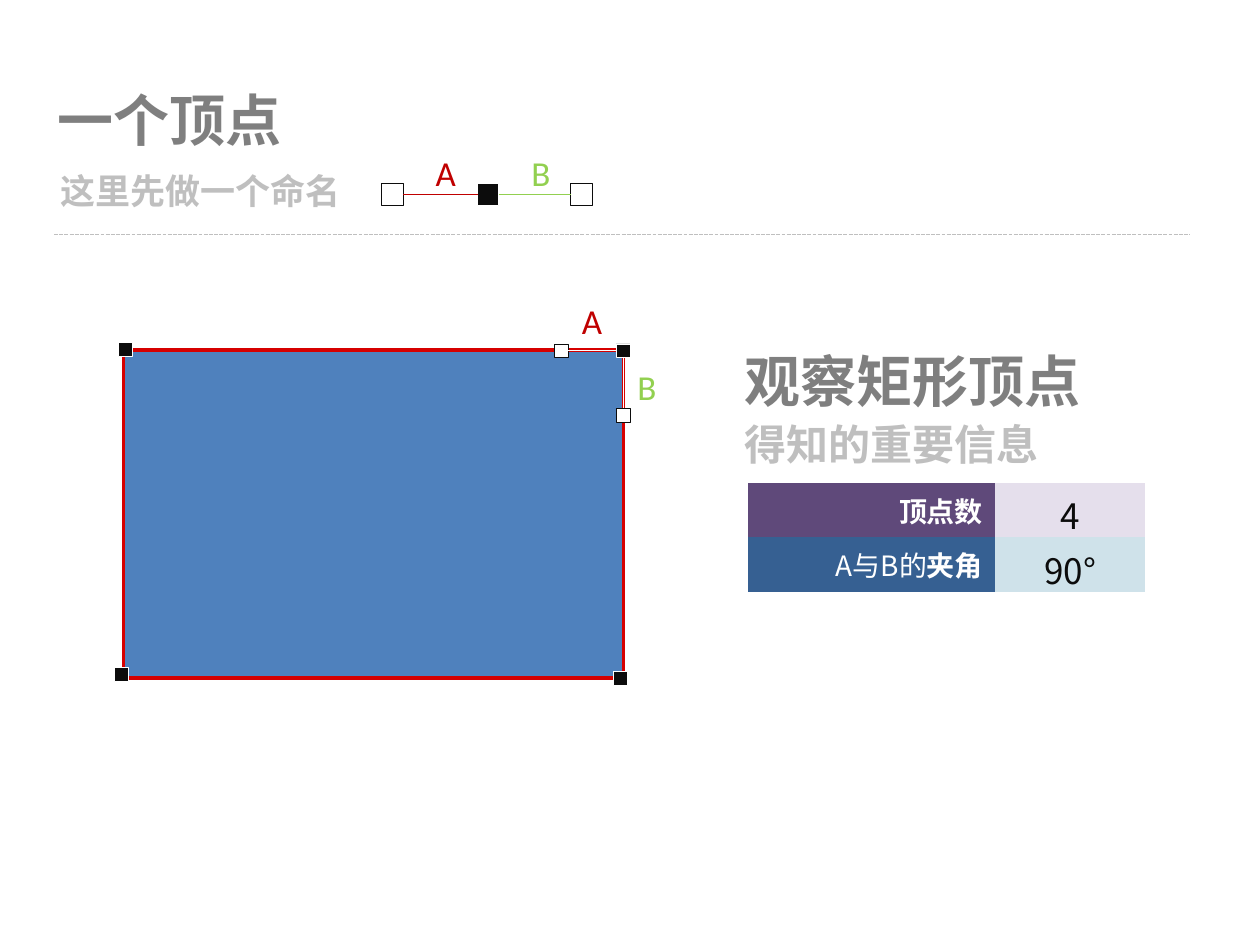
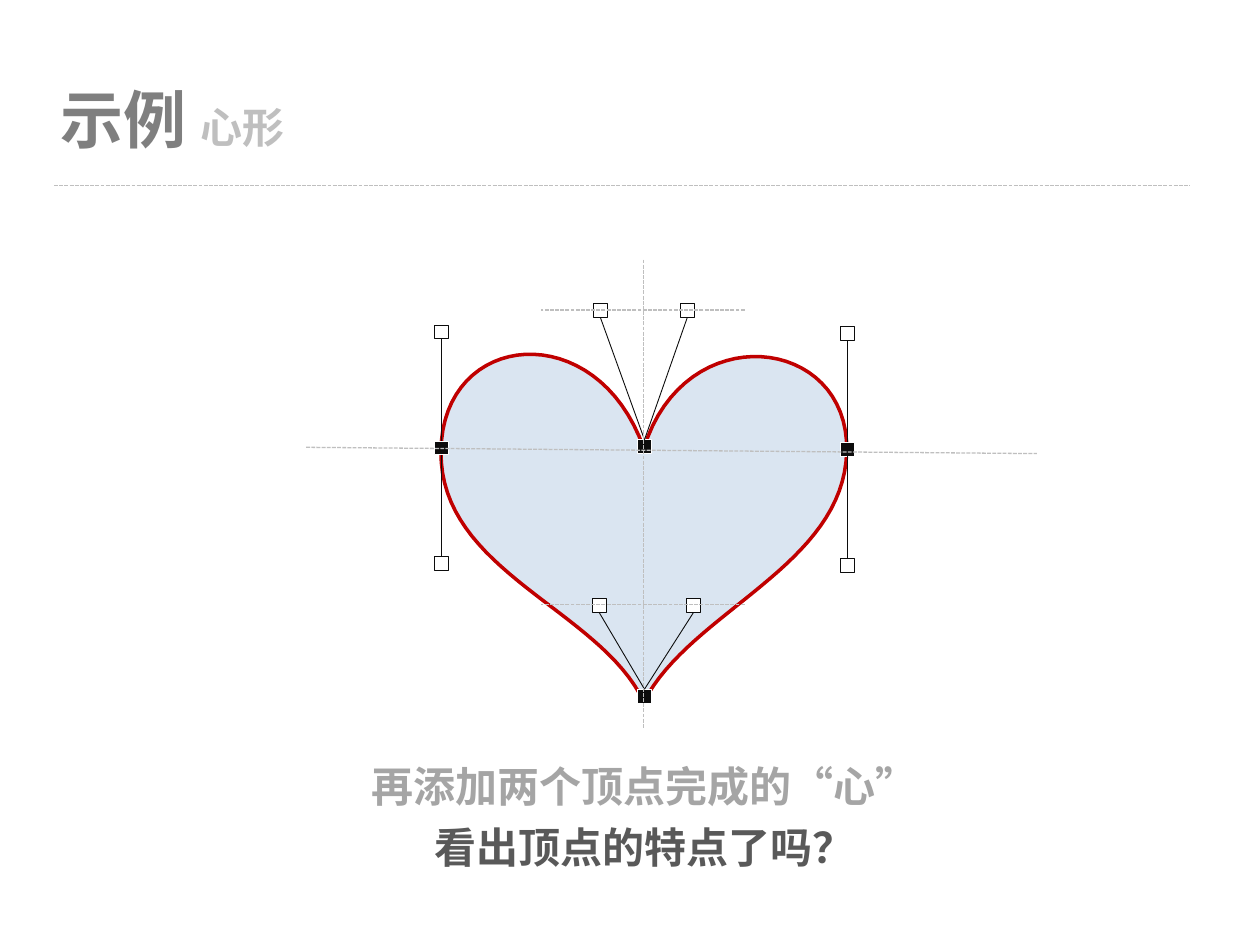
from dataclasses import dataclass

from lxml import etree
from pptx import Presentation
from pptx import util as u
from pptx.dml.color import RGBColor
from pptx.enum import dml, shapes, text
from pptx.oxml import ns


@dataclass(frozen=True)
class Theme:
    cjk: str = "Noto Sans CJK SC"
    latin: str = "Calibri"
    grey: str = "7F7F7F"
    pale: str = "BFBFBF"
    caption: str = "A5A5A5"
    question: str = "595959"
    black: str = "0C0C0C"
    white: str = "FFFFFF"
    red: str = "C00000"
    outline: str = "D60000"
    green: str = "92D050"
    blue: str = "4F81BD"
    heart: str = "DAE5F1"
    purple: str = "5F497A"
    lilac: str = "E5DFEC"
    navy: str = "366092"
    ice: str = "CFE2EA"
    plain_table: str = "{2D5ABB26-0587-4C30-8999-92F81FD0307C}"
    display: int = 36
    title: int = 32
    subtitle: int = 24
    label: int = 20
    row: int = 16


theme = Theme()
rgb = RGBColor.from_string
Inches = u.Inches
TOP, LEFT, BOTTOM, RIGHT = range(4)


def write(frame, lines, font=theme.cjk, bold=True, align=text.PP_ALIGN.LEFT, spacing=None):
    for i, (words, size, color) in enumerate(lines):
        paragraph = frame.paragraphs[0] if i == 0 else frame.add_paragraph()
        paragraph.text = words
        paragraph.alignment = align
        paragraph.line_spacing = spacing
        paragraph.font.name = font
        paragraph.font.size = u.Pt(size)
        paragraph.font.bold = bold
        paragraph.font.color.rgb = rgb(color)
        latin = paragraph._p.pPr.find(".//" + ns.qn("a:latin"))
        east_asian = etree.Element(ns.qn("a:ea"), typeface=theme.cjk)
        latin.addnext(east_asian)


def add_vertex(slide, anchor_at, size, handles=()):
    parent = slide.shapes.add_group_shape().shapes if handles else slide.shapes
    squares = []
    for left, top in [anchor_at] + [handle[0] for handle in handles]:
        is_anchor = not squares
        square = parent.add_shape(shapes.MSO_SHAPE.RECTANGLE, Inches(left), Inches(top),
                                  Inches(size), Inches(size))
        square.shadow.inherit = False
        square.fill.solid()
        square.fill.fore_color.rgb = rgb(theme.black if is_anchor else theme.white)
        square.line.color.rgb = rgb(theme.white if is_anchor else theme.black)
        square.line.width = u.Pt(0.5)
        squares.append(square)
    anchor = squares[0]
    for handle, (_, anchor_side, handle_side, color) in zip(squares[1:], handles):
        arm = parent.add_connector(shapes.MSO_CONNECTOR.STRAIGHT, anchor.left, anchor.top,
                                   handle.left, handle.top)
        arm.begin_connect(anchor, anchor_side)
        arm.end_connect(handle, handle_side)
        arm.line.color.rgb = rgb(color)
        arm.line.width = u.Pt(0.5)
        etree.SubElement(arm._element.spPr, ns.qn("a:effectLst"))


deck = Presentation()
deck.slide_width, deck.slide_height = Inches(10), Inches(7.5)
vertex_slide, heart_slide = [deck.slides.add_slide(deck.slide_layouts[5]) for _ in range(2)]

for slide, words, size, box in [
    (vertex_slide, "一个顶点", theme.title, (0.36, 0.57, 2.1, 0.69)),
    (heart_slide, "示例 ", theme.display, (0.38, 0.53, 2.1, 0.76)),
]:
    title = slide.shapes.title
    title.left, title.top, title.width, title.height = map(Inches, box)
    title.text_frame.word_wrap = True
    title.text_frame.auto_size = text.MSO_AUTO_SIZE.NONE
    title.text_frame.vertical_anchor = text.MSO_ANCHOR.MIDDLE
    write(title.text_frame, [(words, size, theme.grey)], spacing=1.1)

example_name = heart_slide.shapes.title.text_frame.paragraphs[0].add_run()
example_name.text = "心形"
example_name.font.size = u.Pt(theme.subtitle)
example_name.font.color.rgb = rgb(theme.pale)

rectangle = vertex_slide.shapes.add_shape(shapes.MSO_SHAPE.RECTANGLE, Inches(0.98), Inches(2.78),
                                          Inches(3.97), Inches(2.6))

heart_start = (5.11, 3.56)
heart_curves = [
    ((5.43, 2.51), (6.74, 2.66), (6.72, 3.58)),
    ((6.7, 4.49), (5.48, 4.85), (5.11, 5.57)),
    ((4.76, 4.83), (3.49, 4.54), (3.5, 3.58)),
    ((3.51, 2.62), (4.74, 2.5), heart_start),
]
steps = 32
outline_points = []
curve_start = heart_start
for control_1, control_2, curve_end in heart_curves:
    for step in range(1, steps + 1):
        t = step / steps
        weights = ((1 - t) ** 3, 3 * t * (1 - t) ** 2, 3 * t ** 2 * (1 - t), t ** 3)
        corners = (curve_start, control_1, control_2, curve_end)
        outline_points.append([Inches(sum(w * c[axis] for w, c in zip(weights, corners)))
                               for axis in (0, 1)])
    curve_start = curve_end
heart_outline = heart_slide.shapes.build_freeform(*map(Inches, heart_start))
heart_outline.add_line_segments(outline_points, close=True)
heart = heart_outline.convert_to_shape()

for figure, fill, line in [(rectangle, theme.blue, theme.outline),
                           (heart, theme.heart, theme.red)]:
    figure.shadow.inherit = False
    figure.fill.solid()
    figure.fill.fore_color.rgb = rgb(fill)
    figure.line.color.rgb = rgb(line)
    figure.line.width = u.Pt(2)

add_vertex(vertex_slide, (4.89, 2.73), 0.11, [
    ((4.4, 2.73), LEFT, RIGHT, theme.white),
    ((4.89, 3.24), BOTTOM, TOP, theme.white),
])
for corner in [(4.87, 5.33), (0.91, 5.3), (0.94, 2.72)]:
    add_vertex(vertex_slide, corner, 0.11)
add_vertex(vertex_slide, (3.79, 1.46), 0.17, [
    ((3.03, 1.46), LEFT, RIGHT, theme.red),
    ((4.53, 1.46), RIGHT, LEFT, theme.green),
])

for anchor_at, upper, lower in [
    ((6.67, 3.51), (6.67, 2.59), (6.67, 4.43)),
    ((3.45, 3.5), (3.45, 2.58), (3.45, 4.42)),
]:
    add_vertex(heart_slide, anchor_at, 0.11, [
        (upper, TOP, BOTTOM, theme.black),
        (lower, BOTTOM, TOP, theme.black),
    ])
for anchor_at, left_handle, right_handle in [
    ((5.06, 5.47), (4.7, 4.75), (5.45, 4.75)),
    ((5.06, 3.49), (4.71, 2.41), (5.4, 2.41)),
]:
    add_vertex(heart_slide, anchor_at, 0.11, [
        (handle_at, TOP, BOTTOM, theme.black) for handle_at in (left_handle, right_handle)
    ])

for left, top, letter, color in [
    (3.36, 1.15, "A", theme.red), (4.12, 1.15, "B", theme.green),
    (4.52, 2.33, "A", theme.red), (4.96, 2.85, "B", theme.green),
]:
    side_label = vertex_slide.shapes.add_textbox(Inches(left), Inches(top),
                                                 Inches(0.36), Inches(0.44))
    side_label.text_frame.word_wrap = False
    write(side_label.text_frame, [(letter, theme.label, color)], theme.latin, bold=False)

for slide, box, lines, font, align, spacing in [
    (vertex_slide, (0.38, 1.26, 2.6, 0.47),
     [("这里先做一个命名", theme.label, theme.pale)],
     theme.cjk, text.PP_ALIGN.LEFT, 1.1),
    (vertex_slide, (5.81, 2.65, 3.05, 1.13),
     [("观察矩形顶点", theme.title, theme.grey),
      ("得知的重要信息", theme.subtitle, theme.pale)],
     theme.cjk, text.PP_ALIGN.LEFT, 1.1),
    (heart_slide, (2.85, 5.91, 4.53, 1.06),
     [("再添加两个顶点完成的“心”", theme.subtitle, theme.caption),
      ("看出顶点的特点了吗？", theme.subtitle, theme.question)],
     theme.latin, text.PP_ALIGN.CENTER, 1.2),
]:
    remark = slide.shapes.add_textbox(*map(Inches, box))
    remark.text_frame.word_wrap = True
    write(remark.text_frame, lines, font, align=align, spacing=spacing)

facts = vertex_slide.shapes.add_table(2, 2, Inches(5.94), Inches(3.83),
                                      Inches(3.15), Inches(0.87)).table
facts.first_row = facts.horz_banding = False
facts._tbl.tblPr.find(ns.qn("a:tableStyleId")).text = theme.plain_table
facts.columns[0].width, facts.columns[1].width = Inches(1.96), Inches(1.19)
for row, (fact, value, fact_fill, value_fill) in enumerate([
    ("顶点数", "4", theme.purple, theme.lilac),
    ("A与B的", "90°", theme.navy, theme.ice),
]):
    for column, (words, size, color, fill, bold, align) in enumerate([
        (fact, theme.row, theme.white, fact_fill, row == 0, text.PP_ALIGN.RIGHT),
        (value, theme.label, theme.black, value_fill, False, text.PP_ALIGN.CENTER),
    ]):
        cell = facts.cell(row, column)
        cell.vertical_anchor = text.MSO_ANCHOR.MIDDLE
        cell.fill.solid()
        cell.fill.fore_color.rgb = rgb(fill)
        write(cell.text_frame, [(words, size, color)], bold=bold, align=align)
angle = facts.cell(1, 0).text_frame.paragraphs[0].add_run()
angle.text = "夹角"
angle.font.bold = True

for slide, ends in [
    (vertex_slide, (0.43, 1.86, 9.44, 1.86)),
    (heart_slide, (0.43, 1.47, 9.44, 1.47)),
    (heart_slide, (2.43, 3.55, 8.23, 3.6)),
    (heart_slide, (5.11, 2.06, 5.11, 5.78)),
    (heart_slide, (5.91, 2.46, 4.29, 2.46)),
    (heart_slide, (5.91, 4.8, 4.29, 4.8)),
]:
    guide = slide.shapes.add_connector(shapes.MSO_CONNECTOR.STRAIGHT, *map(Inches, ends))
    guide.line.color.rgb = rgb(theme.pale)
    guide.line.width = u.Pt(0.75)
    guide.line.dash_style = dml.MSO_LINE.SQUARE_DOT
    etree.SubElement(guide._element.spPr, ns.qn("a:effectLst"))

deck.save("out.pptx")
